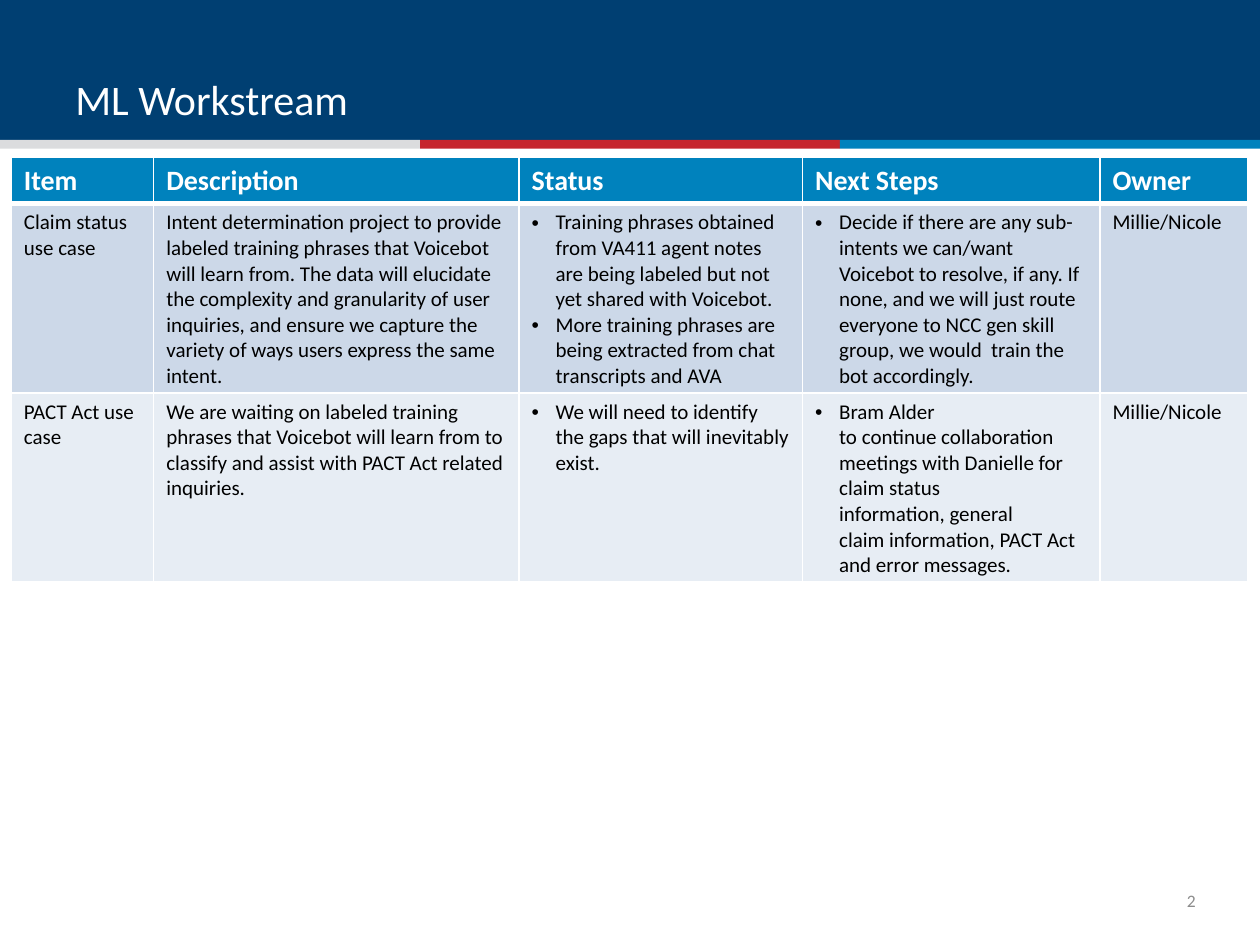
from lxml import etree
from pptx import Presentation, util as u
from pptx.dml.color import RGBColor
from pptx.enum import shapes, text
from pptx.oxml.ns import qn

# Content: "~" marks a non-breaking space, a list is a bulleted cell
TITLE = "ML Workstream"
PAGE = "2"
HEADINGS = ["Item", "Description", "Status", "Next Steps", "Owner"]
USE_CASES = [
    ["Claim status use case",
     "Intent determination project to provide labeled training phrases that Voicebot "
     "will learn from. The data will elucidate the complexity and granularity of user "
     "inquiries, and ensure we capture the variety of ways users express the same intent.~",
     ["Training phrases obtained from VA411 agent notes are being labeled but not yet "
      "shared with Voicebot.",
      "More training phrases are being extracted from chat transcripts and AVA~"],
     ["Decide if there are any sub-intents we can/want Voicebot to resolve, if any. If none, "
      "and we will just route everyone to NCC gen skill group, we would~ train the bot "
      "accordingly."],
     "Millie/Nicole"],
    ["PACT Act use case",
     "We are waiting on labeled training phrases that Voicebot will learn from to classify "
     "and assist with PACT Act related inquiries.~",
     ["We will need to identify the gaps that will inevitably exist."],
     ["Bram Alder to~continue~collaboration meetings with~Danielle for claim status "
      "information,~general claim~information, PACT Act and error~messages."],
     "Millie/Nicole"],
]

THEME = {
    "banner": "003F72", "stripes": ["DBDCDE", "C6262D", "0082BD"],
    "header": "0082BD", "rows": ["CCD8E8", "E7EDF4"], "border": "FFFFFF",
    "title": {"size": 24, "color": "FFFFFF", "bold": False},
    "heading": {"size": 16, "color": "FFFFFF", "bold": True},
    "body": {"size": 12, "color": "000000", "bold": False},
    "page": {"size": 10, "color": "8C8C8C", "bold": False},
    "font": "Calibri",
}
COLUMNS = [1.13, 2.9, 2.25, 2.36, 1.17]
ROWS = [0.36, 1.5, 1.5]
INDENT = 0.19


def style(paragraph, role):
    look = THEME[role]
    values = {"name": THEME["font"], "size": u.Pt(look["size"]), "bold": look["bold"]}
    for key, value in values.items():
        setattr(paragraph.font, key, value)
    paragraph.font.color.rgb = RGBColor.from_string(look["color"])


def add_bar(slide, box, color):
    bar = slide.shapes.add_shape(shapes.MSO_SHAPE.RECTANGLE, *map(u.Inches, box))
    bar.shadow.inherit = False
    bar.fill.solid()
    bar.fill.fore_color.rgb = RGBColor.from_string(color)
    bar.line.fill.background()


def add_label(slide, box, words, role, align, **frame_format):
    frame = slide.shapes.add_textbox(*map(u.Inches, box)).text_frame
    for key, value in {"word_wrap": True, **frame_format}.items():
        setattr(frame, key, value)
    line = frame.paragraphs[0]
    line.text, line.alignment = words, align
    style(line, role)


def add_bullet(paragraph):
    props = paragraph._p.get_or_add_pPr()
    props.set("marL", str(u.Inches(INDENT)))
    props.set("indent", str(-u.Inches(INDENT)))
    etree.SubElement(props, qn("a:buFont"), typeface="Arial")
    etree.SubElement(props, qn("a:buChar"), char="•")


def set_borders(cell, bottom):
    props = cell._tc.get_or_add_tcPr()
    widths = {"a:lnL": 1, "a:lnR": 1, "a:lnT": 1, "a:lnB": bottom}
    for place, (side, width) in enumerate(widths.items()):
        edge = etree.Element(qn(side), w=str(u.Pt(width)))
        fill = etree.SubElement(edge, qn("a:solidFill"))
        etree.SubElement(fill, qn("a:srgbClr"), val=THEME["border"])
        props.insert(place, edge)


def fill_cell(cell, content, role, color, bottom):
    cell.fill.solid()
    cell.fill.fore_color.rgb = RGBColor.from_string(color)
    set_borders(cell, bottom)
    bulleted = isinstance(content, list)
    frame = cell.text_frame
    for number, words in enumerate(content if bulleted else [content]):
        line = frame.add_paragraph() if number else frame.paragraphs[0]
        line.text = words.replace("~", chr(160))
        if bulleted:
            add_bullet(line)
        style(line, role)


def main():
    deck = Presentation()
    deck.slide_width, deck.slide_height = u.Inches(10), u.Inches(7.5)
    slide = deck.slides.add_slide(deck.slide_layouts[6])

    # Banner and its three stripes
    add_bar(slide, (-0.01, 0, 10.01, 1.14), THEME["banner"])
    stripe = 10 / len(THEME["stripes"])
    for number, color in enumerate(THEME["stripes"]):
        add_bar(slide, (number * stripe, 1.11, stripe, 0.07), color)

    # Title and page number
    add_label(slide, (0.5, 0.14, 9, 0.89), TITLE, "title", text.PP_ALIGN.LEFT,
              vertical_anchor=text.MSO_ANCHOR.BOTTOM)
    add_label(slide, (9.22, 6.95, 0.27, 0.4), PAGE, "page", text.PP_ALIGN.RIGHT,
              vertical_anchor=text.MSO_ANCHOR.MIDDLE,
              margin_left=0, margin_right=0, margin_top=0, margin_bottom=0)

    # Use case table
    box = (0.09, 1.25, sum(COLUMNS), sum(ROWS))
    table = slide.shapes.add_table(len(ROWS), len(COLUMNS), *map(u.Inches, box)).table
    for column, width in zip(table.columns, COLUMNS):
        column.width = u.Inches(width)
    for row, height in zip(table.rows, ROWS):
        row.height = u.Inches(height)
    colors = [THEME["header"], *THEME["rows"]]
    for r, (contents, color) in enumerate(zip([HEADINGS, *USE_CASES], colors)):
        role, bottom = ("body", 1) if r else ("heading", 3)
        for c, content in enumerate(contents):
            fill_cell(table.cell(r, c), content, role, color, bottom)

    deck.save("out.pptx")


if __name__ == "__main__":
    main()
